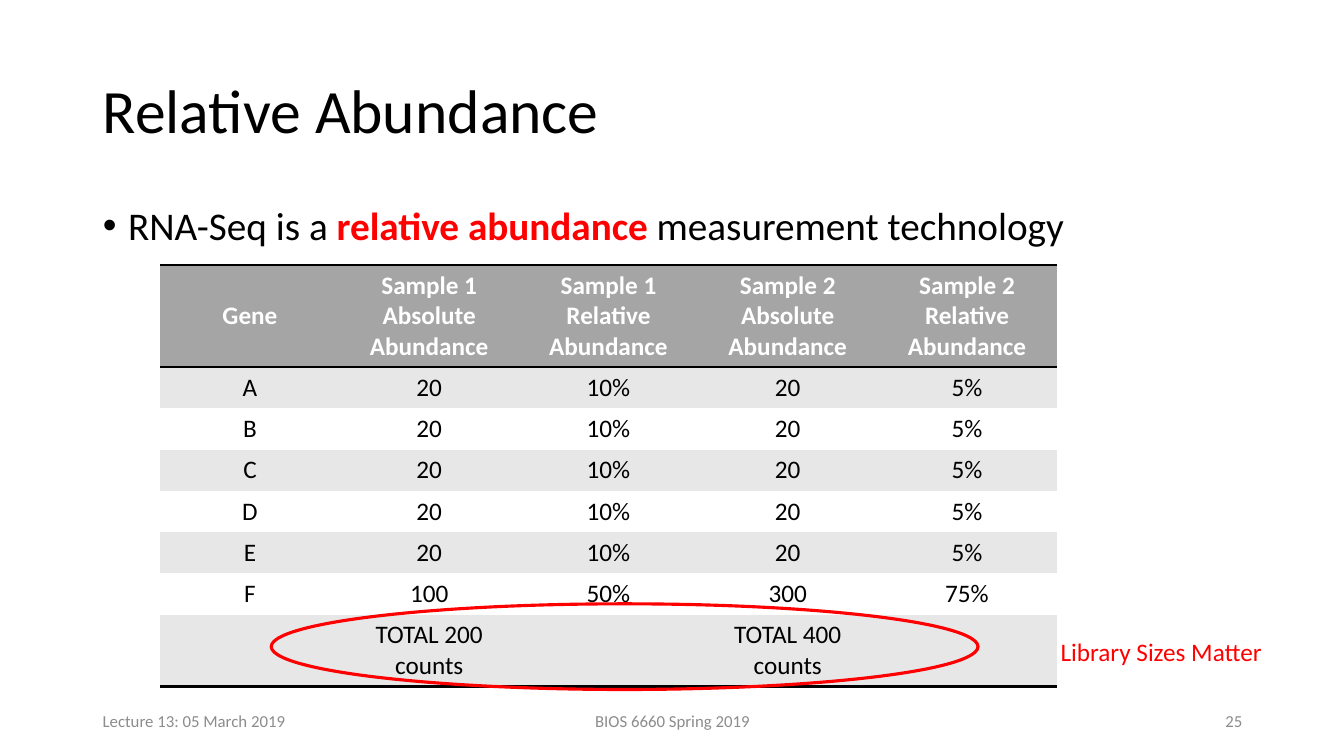
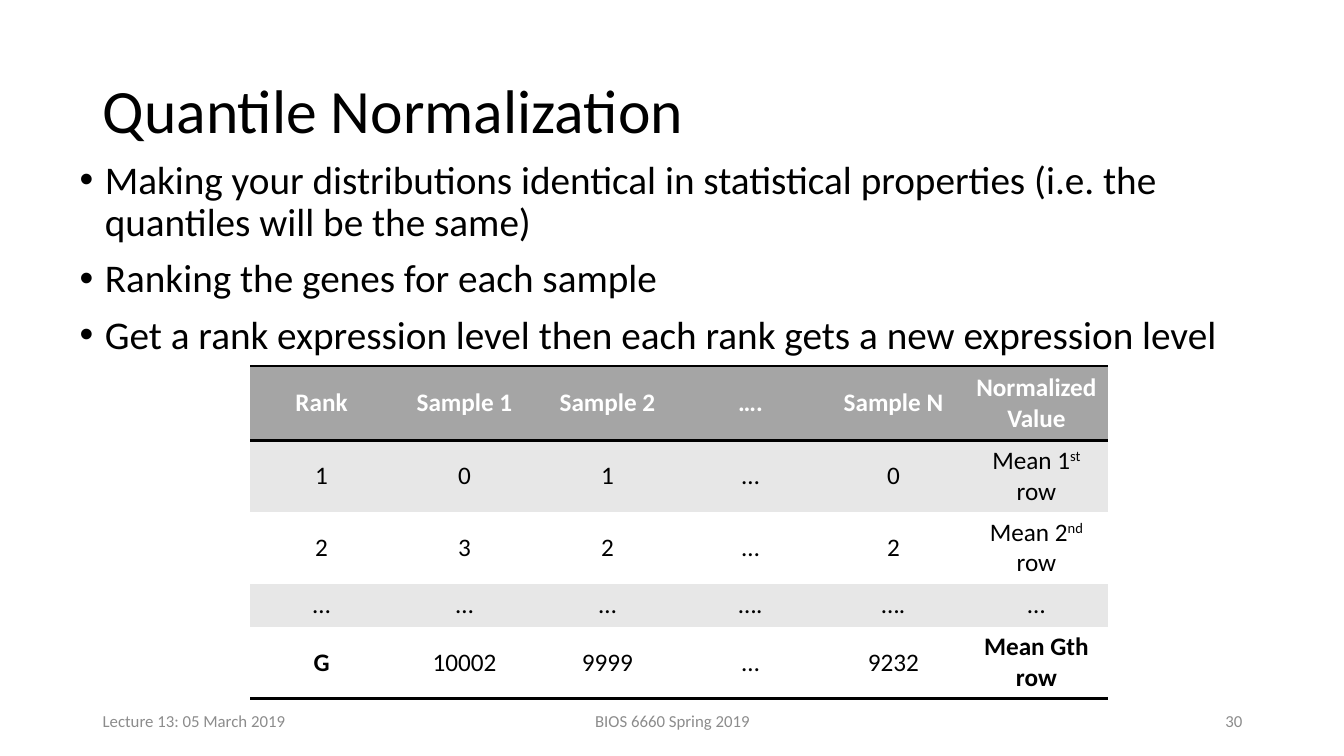
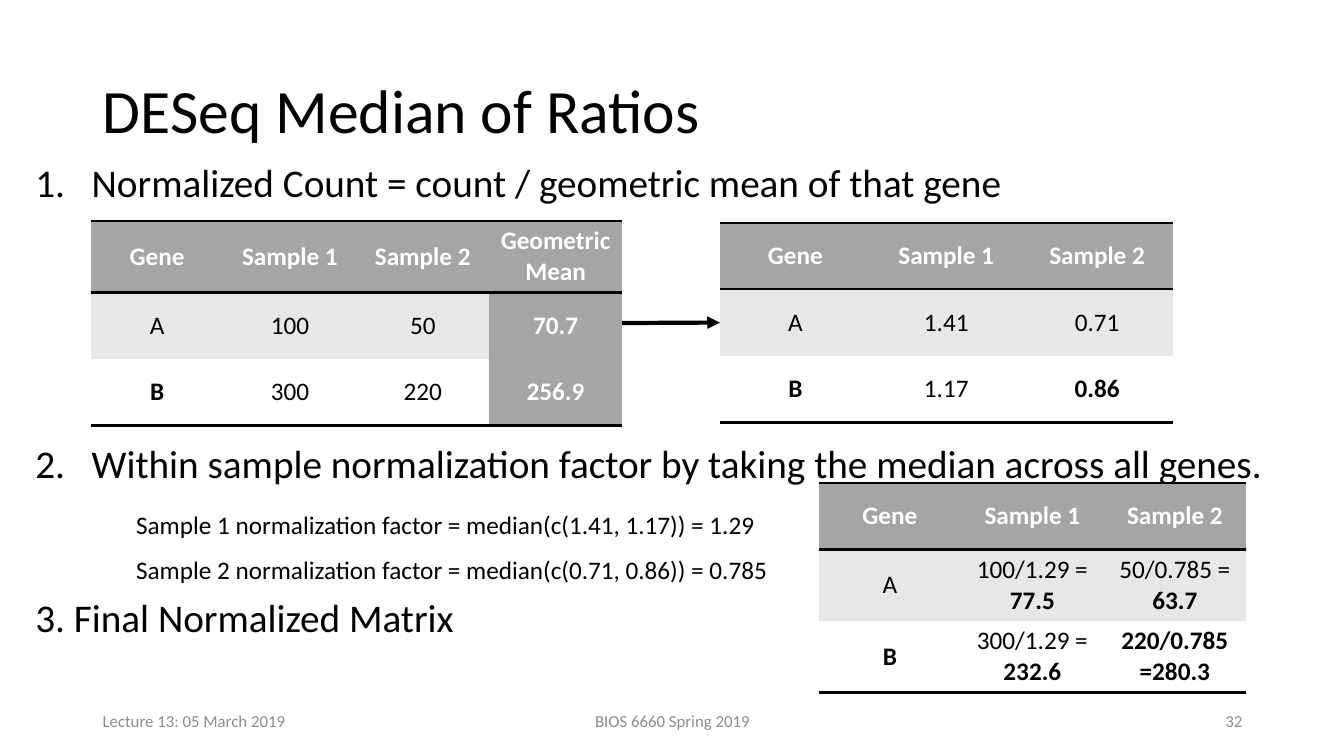
from dataclasses import dataclass
from typing import NamedTuple, Optional, Union

from lxml import etree
from pptx import Presentation
from pptx import util as u
from pptx.dml.color import RGBColor
from pptx.enum import shapes, text
from pptx.oxml import ns

COLORS = {
    "ink": "000000",
    "paper": "FFFFFF",
    "header": "A5A5A5",
    "band": "E7E7E7",
    "accent": "FF0000",
    "footer": "8C8C8C",
}
FONT = "Calibri"
PLAIN_TABLE_STYLE = "{2D5ABB26-0587-4C30-8999-92F81FD0307C}"
LEFT, CENTER, RIGHT = text.PP_ALIGN.LEFT, text.PP_ALIGN.CENTER, text.PP_ALIGN.RIGHT
MIDDLE, TOP = text.MSO_ANCHOR.MIDDLE, text.MSO_ANCHOR.TOP


class Box(NamedTuple):
    left: float
    top: float
    width: float
    height: float


class Run(NamedTuple):
    text: str
    bold: bool = False
    color: str = "ink"
    raised: bool = False


Content = Union[str, tuple[Run, ...]]


@dataclass
class Item:
    content: Content
    marker: Optional[str] = "bullet"
    indent: float = 0.25
    hanging: float = 0.25
    size: float = 28
    before: float = 10


@dataclass
class Grid:
    left: float
    top: float
    width: float
    heights: list[float]
    rows: list[list[Content]]
    key_column: bool = False


@dataclass
class Page:
    number: int
    title: str
    body: Box
    items: list[Item]
    grids: list[Grid]


TITLE_BOX = Box(0.92, 0.4, 11.5, 1.45)


def rgb(name: str) -> RGBColor:
    return RGBColor.from_string(COLORS[name])


def place(shape, box: Box) -> None:
    shape.left, shape.top, shape.width, shape.height = map(u.Inches, box)


def style_font(font, size: float, color: str, bold: bool = False) -> None:
    font.name = FONT
    font.size = u.Pt(size)
    font.bold = bold
    font.color.rgb = rgb(color)


def write(paragraph, content: Content, size: float) -> None:
    runs = (Run(content),) if isinstance(content, str) else content
    for part in runs:
        run = paragraph.add_run()
        run.text = part.text
        style_font(run.font, size, part.color, part.bold)
        if part.raised:
            run._r.get_or_add_rPr().set("baseline", "30000")


def mark(paragraph, item: Item) -> None:
    props = paragraph._p.get_or_add_pPr()
    props.set("marL", str(u.Inches(item.indent)))
    props.set("indent", str(-u.Inches(item.hanging)))
    if item.marker == "bullet":
        etree.SubElement(props, ns.qn("a:buFont"), typeface="Arial")
        etree.SubElement(props, ns.qn("a:buChar"), char="•")
    elif item.marker == "number":
        etree.SubElement(props, ns.qn("a:buFont"), typeface=FONT)
        etree.SubElement(props, ns.qn("a:buAutoNum"), type="arabicPeriod")
    else:
        etree.SubElement(props, ns.qn("a:buNone"))


def add_title(slide, wording: str) -> None:
    title = slide.shapes.title
    place(title, TITLE_BOX)
    frame = title.text_frame
    frame.text = wording
    frame.vertical_anchor = MIDDLE
    frame.auto_size = text.MSO_AUTO_SIZE.NONE
    heading = frame.paragraphs[0]
    heading.alignment = LEFT
    heading.line_spacing = 0.9
    style_font(heading.runs[0].font, 44, "ink")


def add_body(slide, box: Box, items: list[Item]) -> None:
    body = slide.placeholders[1]
    place(body, box)
    frame = body.text_frame
    frame.auto_size = text.MSO_AUTO_SIZE.NONE
    for index, item in enumerate(items):
        paragraph = frame.add_paragraph() if index else frame.paragraphs[0]
        mark(paragraph, item)
        paragraph.line_spacing = 0.9
        paragraph.space_before = u.Pt(item.before if index else 0)
        write(paragraph, item.content, item.size)


def add_label(slide, box: Box, wording: str, size: float, color: str,
              align=LEFT, anchor=MIDDLE, wrap: bool = True) -> None:
    label = slide.shapes.add_textbox(*map(u.Inches, box))
    frame = label.text_frame
    frame.word_wrap = wrap
    frame.vertical_anchor = anchor
    frame.text = wording
    frame.paragraphs[0].alignment = align
    style_font(frame.paragraphs[0].runs[0].font, size, color)


def add_footer(slide, number: int) -> None:
    for left, width, wording, align in (
        (0.92, 3, "Lecture 13: 05 March 2019", LEFT),
        (4.42, 4.5, "BIOS 6660 Spring 2019", CENTER),
        (9.42, 3, str(number), RIGHT),
    ):
        add_label(slide, Box(left, 6.95, width, 0.4), wording, 12, "footer", align)


def add_border(cell, side: str) -> None:
    line = etree.SubElement(cell._tc.get_or_add_tcPr(), ns.qn(f"a:{side}"), w=str(u.Pt(2)))
    fill = etree.SubElement(line, ns.qn("a:solidFill"))
    etree.SubElement(fill, ns.qn("a:srgbClr"), val=COLORS["ink"])


def add_grid(slide, grid: Grid):
    last_row, last_column = len(grid.rows) - 1, len(grid.rows[0]) - 1
    box = Box(grid.left, grid.top, grid.width, sum(grid.heights))
    frame = slide.shapes.add_table(last_row + 1, last_column + 1, *map(u.Inches, box))
    table = frame.table
    table.horz_banding = False
    table.last_col = grid.key_column
    table._tbl.tblPr.find(ns.qn("a:tableStyleId")).text = PLAIN_TABLE_STYLE
    for r, (height, row) in enumerate(zip(grid.heights, grid.rows)):
        table.rows[r].height = u.Inches(height)
        for c, content in enumerate(row):
            cell = table.cell(r, c)
            dark = r == 0 or (grid.key_column and c == last_column)
            if r == 0:
                add_border(cell, "lnT")
            if r in (0, last_row):
                add_border(cell, "lnB")
            cell.fill.solid()
            cell.fill.fore_color.rgb = rgb("header" if dark else "band" if r % 2 else "paper")
            cell.vertical_anchor = MIDDLE
            paragraph = cell.text_frame.paragraphs[0]
            paragraph.alignment = CENTER
            if content:
                write(paragraph, (Run(content, True, "paper"),) if dark else content, 18)
    return frame


def add_arrow(slide, source, target) -> None:
    arrow = slide.shapes.add_connector(shapes.MSO_CONNECTOR.STRAIGHT, 0, 0, 0, 0)
    arrow.begin_connect(source, 3)
    arrow.end_connect(target, 1)
    arrow.line.width = u.Pt(3)
    arrow.line.color.rgb = rgb("ink")
    etree.SubElement(arrow.line._get_or_add_ln(), ns.qn("a:tailEnd"), type="triangle")
    etree.SubElement(arrow._element.spPr, ns.qn("a:effectLst"))


def add_highlight(slide, box: Box) -> None:
    ring = slide.shapes.add_shape(shapes.MSO_SHAPE.OVAL, *map(u.Inches, box))
    ring.shadow.inherit = False
    ring.fill.background()
    ring.line.color.rgb = rgb("accent")
    ring.line.width = u.Pt(2.25)


def add_page(deck, page: Page):
    slide = deck.slides.add_slide(deck.slide_layouts[1])
    add_title(slide, page.title)
    add_body(slide, page.body, page.items)
    add_footer(slide, page.number)
    return slide, [add_grid(slide, grid) for grid in page.grids]


def bold(wording: str) -> tuple[Run, ...]:
    return (Run(wording, True),)


def ranked_mean(rank: str, suffix: str) -> tuple[Run, ...]:
    return Run(f"Mean {rank}"), Run(suffix, raised=True), Run(" row")


def quotient(division: str, result: str) -> tuple[Run, ...]:
    return Run(f"{division} = "), Run(result, True)


SAMPLE_HEADER = ["Gene", "Sample 1", "Sample 2"]

ABUNDANCE = Page(
    25, "Relative Abundance", Box(0.92, 2, 11.5, 4.76),
    [Item((Run("RNA-Seq is a "), Run("relative abundance ", True, "accent"),
           Run("measurement technology")))],
    [Grid(1.59, 2.63, 8.89, [1.01] + [0.41] * 6 + [0.71], [
        ["Gene"] + [f"Sample {sample} {kind} Abundance"
                    for sample in (1, 2) for kind in ("Absolute", "Relative")],
        *[[gene, "20", "10%", "20", "5%"] for gene in "ABCDE"],
        ["F", "100", "50%", "300", "75%"],
        ["", "TOTAL 200 counts", "", "TOTAL 400 counts", ""],
    ])],
)

QUANTILE = Page(
    30, "Quantile Normalization", Box(0.69, 1.54, 12.08, 4.76),
    [Item("Making your distributions identical in statistical properties "
          "(i.e. the quantiles will be the same)"),
     Item("Ranking the genes for each sample"),
     Item("Get a rank expression level then each rank gets a new expression level")],
    [Grid(2.48, 3.63, 8.51, [0.74, 0.71, 0.71, 0.43, 0.71], [
        ["Rank", "Sample 1", "Sample 2", "….", "Sample N", "Normalized Value"],
        ["1", "0", "1", "…", "0", ranked_mean("1", "st")],
        ["2", "3", "2", "…", "2", ranked_mean("2", "nd")],
        ["…", "…", "…", "….", "….", "…"],
        [bold("G"), "10002", "9999", "…", "9232", bold("Mean Gth row")],
    ])],
)

MEDIAN_RATIOS = Page(
    32, "DESeq Median of Ratios", Box(0.25, 1.57, 12.47, 5.43),
    [Item("Normalized Count = count / geometric mean of that gene", "number", 0.56, 0.56),
     Item("Within sample normalization factor by taking the median across all genes.",
          "number", 0.56, 0.56, before=171),
     Item("Sample 1 normalization factor = median(c(1.41, 1.17)) = 1.29",
          None, 1, 0, 18, 18),
     Item("Sample 2 normalization factor = median(c(0.71, 0.86)) = 0.785",
          None, 1, 0, 18, 12.5),
     Item("3. Final Normalized Matrix", None, 0, 0)],
    [Grid(0.9, 2.19, 5.27, [0.71, 0.66, 0.66], [
        SAMPLE_HEADER + ["Geometric Mean"],
        ["A", "100", "50", "70.7"],
        [bold("B"), "300", "220", "256.9"],
    ], key_column=True),
     Grid(7.14, 2.21, 4.49, [0.66] * 3, [
         SAMPLE_HEADER,
         ["A", "1.41", "0.71"],
         [bold("B"), "1.17", bold("0.86")],
     ]),
     Grid(8.12, 4.79, 4.24, [0.66, 0.71, 0.71], [
         SAMPLE_HEADER,
         ["A", quotient("100/1.29", "77.5"), quotient("50/0.785", "63.7")],
         [bold("B"), quotient("300/1.29", "232.6"), bold("220/0.785 =280.3")],
     ])],
)


def main() -> None:
    deck = Presentation()
    deck.slide_width, deck.slide_height = u.Inches(13.33), u.Inches(7.5)

    abundance, _ = add_page(deck, ABUNDANCE)
    add_highlight(abundance, Box(2.69, 5.99, 7.01, 0.85))
    add_label(abundance, Box(10.42, 6.26, 2.22, 0.4), "Library Sizes Matter", 18, "accent",
              anchor=TOP, wrap=False)

    add_page(deck, QUANTILE)

    ratios, (counts, normalized, _) = add_page(deck, MEDIAN_RATIOS)
    add_arrow(ratios, counts, normalized)

    deck.save("out.pptx")


if __name__ == "__main__":
    main()
